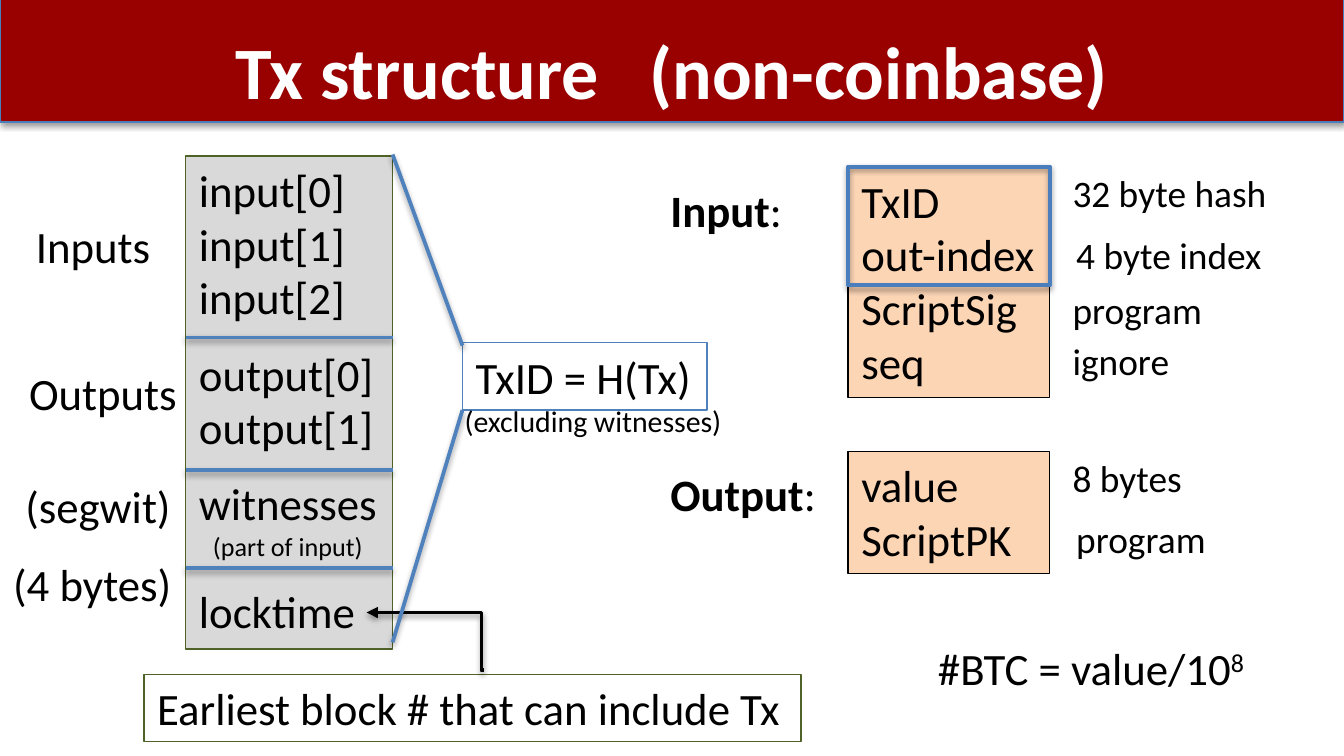
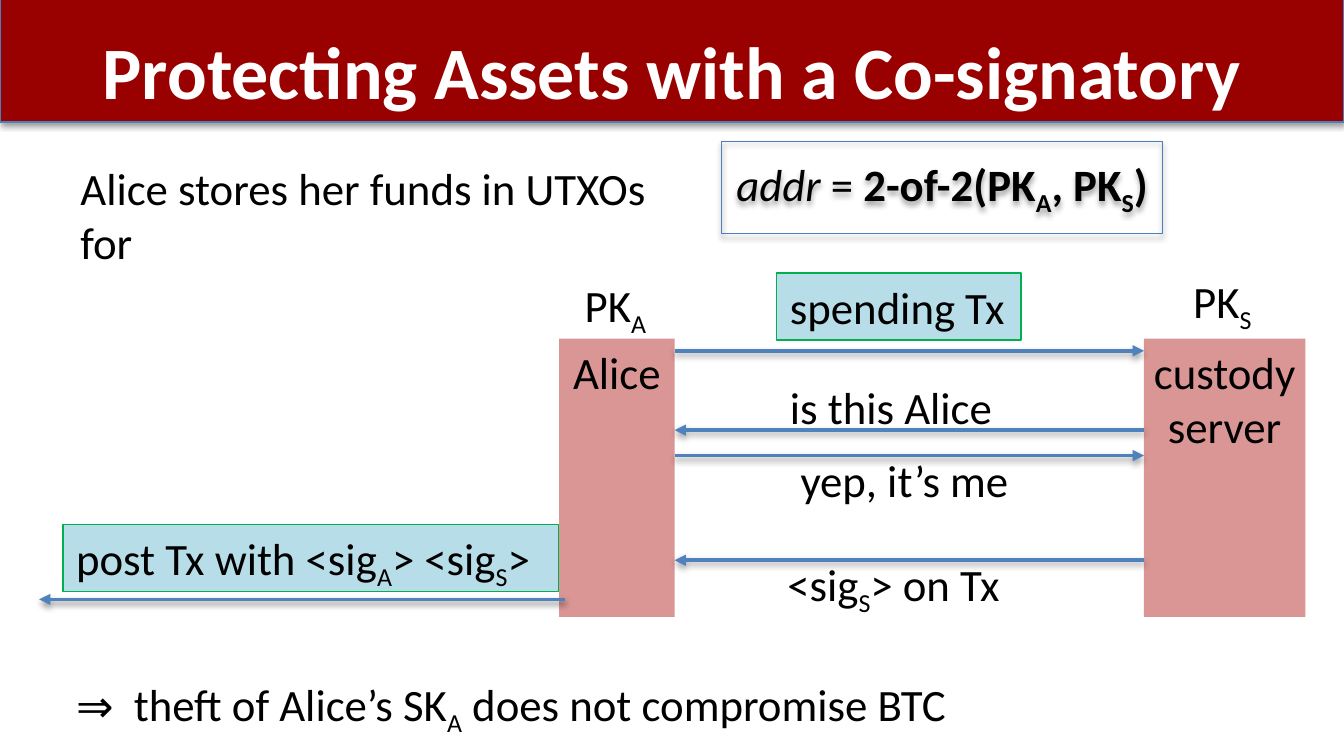
from lxml import etree
from pptx import Presentation
from pptx.dml.color import RGBColor
from pptx.enum.shapes import MSO_CONNECTOR, MSO_SHAPE
from pptx.enum.text import MSO_ANCHOR, MSO_AUTO_SIZE, PP_ALIGN
from pptx.oxml import parse_xml
from pptx.oxml.ns import nsdecls, qn
from pptx.util import Cm, Pt

RECT = MSO_SHAPE.RECTANGLE
LINE, ELBOW = MSO_CONNECTOR.STRAIGHT, MSO_CONNECTOR.ELBOW
LEFT, MID = PP_ALIGN.LEFT, PP_ALIGN.CENTER
TOP, MIDDLE = MSO_ANCHOR.TOP, MSO_ANCHOR.MIDDLE
GROW, FIXED = MSO_AUTO_SIZE.SHAPE_TO_FIT_TEXT, MSO_AUTO_SIZE.NONE

FONT = "Calibri"
BLACK, WHITE, RED = "000000", "FFFFFF", "990000"
BLUE, EDGE = "4F81BD", "4B7EBC"
GREY, OLIVE, PEACH = "D9D9D9", "4F6228", "FCD5B5"
ROSE, AQUA, GREEN = "D99694", "B7DEE8", "00B050"
SHADE = (
    f'<a:effectLst {nsdecls("a")}><a:outerShdw blurRad="40000" dist="22000" '
    'dir="5400000" rotWithShape="0"><a:srgbClr val="000000">'
    '<a:alpha val="36000"/></a:srgbClr></a:outerShdw></a:effectLst>'
)
color = RGBColor.from_string
ROW = 1.27  # height of one line of 24 pt text, in cm


def box(page, at, paras=(), size=24, ink=BLACK, fill=None, edge=None, width=0.75,
        align=LEFT, anchor=TOP, fit=GROW, shade=False):
    """Add a rectangle or text box.

    A paragraph is a string or a list of (text, marks) runs. Marks are letters:
    b bold, i italic, s subscript, u superscript. The run "\\n" breaks the line.
    """
    at = [Cm(n) for n in at]
    if fill or edge:
        shape = page.shapes.add_shape(RECT, *at)
        shape.shadow.inherit = False
    else:
        shape = page.shapes.add_textbox(*at)
    if fill:
        shape.fill.solid()
        shape.fill.fore_color.rgb = color(fill)
    else:
        shape.fill.background()
    if edge:
        shape.line.color.rgb = color(edge)
        shape.line.width = Pt(width)
    else:
        shape.line.fill.background()
    if shade:
        props = shape.element.spPr
        props.remove(props.find(qn("a:effectLst")))
        props.append(parse_xml(SHADE))
    frame = shape.text_frame
    frame.word_wrap = False
    frame.vertical_anchor = anchor
    frame.auto_size = fit if paras else FIXED
    for n, runs in enumerate(paras):
        para = frame.add_paragraph() if n else frame.paragraphs[0]
        para.alignment = align
        for text, marks in [(runs, "")] if isinstance(runs, str) else runs:
            if text == "\n":
                para.add_line_break()
                continue
            run = para.add_run()
            run.text = text
            font = run.font
            font.name, font.size, font.color.rgb = FONT, Pt(size), color(ink)
            font.bold, font.italic = "b" in marks, "i" in marks
            if "s" in marks or "u" in marks:
                base = "-25000" if "s" in marks else "30000"
                run._r.get_or_add_rPr().set("baseline", base)
    return shape


def wire(page, start, end, ink=BLUE, arrow=False, kind=LINE):
    """Add a shadowed connector, with an arrowhead at its end if asked."""
    link = page.shapes.add_connector(kind, *[Cm(n) for n in (*start, *end)])
    link.line.color.rgb = color(ink)
    link.line.width = Pt(2)
    if arrow:
        etree.SubElement(link.line._get_or_add_ln(), qn("a:tailEnd"), type="triangle")
    link.element.spPr.append(parse_xml(SHADE))
    return link


deck = Presentation()
deck.slide_width, deck.slide_height = Cm(25.4), Cm(14.29)

# Both slides: red band and title
pages, heads = [], []
for title in (
    [("Tx structure", "b"), (" ", "b"), ("(non-coinbase)", "b")],
    [("Protecting Assets with a Co-signatory", "b")],
):
    page = deck.slides.add_slide(deck.slide_layouts[6])
    box(page, (0, -0.03, 25.4, 2.34), fill=RED, edge=EDGE, shade=True)
    heads.append(box(page, (1.27, 0.36, 22.86, 1.73), [title], size=39.6, ink=WHITE,
                     align=MID, fit=FIXED))
    pages.append(page)
tx, guard = pages

# Slide 1: widen the gap in the title
gap = heads[0].text_frame.paragraphs[0].runs[1]
gap._r.get_or_add_rPr().set("spc", "1800")

# Slide 1: transaction stack
left, right = 3.51, 7.42
stack = box(tx, (left, 2.95, right - left, 9.32), [
    "input[0]", "input[1]", "input[2]", "output[0]", "output[1]",
    [("witnesses", ""), ("\n", ""), ("(part of input)", "")], "locktime",
], fill=GREY, edge=OLIVE)
parts = stack.text_frame.paragraphs
for n in (3, 5, 6):
    parts[n].space_before = Pt(12)
parts[5].alignment = MID
parts[5].runs[1].font.size = Pt(14)

for x, y, wide, text in (
    (0, 10.39, 3.53, "(4 bytes)"),
    (0.23, 8.92, 3.28, "(segwit)"),
    (0.43, 4.01, 2.69, "Inputs"),
    (0.3, 6.78, 3.33, "Outputs"),
):
    box(tx, (x, y, wide, ROW), [text])
for y in (6.38, 8.89, 10.74):
    wire(tx, (left, y), (right, y))

box(tx, (2.72, 12.75, 12.42, ROW), ["Earliest block # that can include Tx"], edge=OLIVE)
bend = wire(tx, (9.14, 12.67), (6.93, 11.58), BLACK, True, ELBOW)
etree.SubElement(bend.element.spPr.find(qn("a:prstGeom")).find(qn("a:avLst")),
                 qn("a:gd"), name="adj1", fmla="val 1800")

# Slide 1: fields of an input and an output
for name, y, top, tall, names, notes in (
    ("Input", 3.33, 3.15, 4.37, ["TxID", "out-index", "ScriptSig", "seq"], (
        (20.02, 3.1, 4.22, "32 byte hash"),
        (20.09, 4.27, 4.04, "4 byte index"),
        (20.02, 5.31, 2.97, "program"),
        (20.02, 6.27, 2.36, "ignore"),
    )),
    ("Output", 8.69, 8.53, 2.31, ["value", "ScriptPK"], (
        (20.02, 8.48, 2.59, "8 bytes"),
        (20.09, 9.63, 2.97, "program"),
    )),
):
    box(tx, (16.03, top, 3.81, tall), names, fill=PEACH, edge=BLACK)
    box(tx, (12.42, y, 3.3, ROW), [[(name, "b"), (":", "")]])
    for x, spot, wide, text in notes:
        box(tx, (x, spot, wide, 1.12), [text], size=20)
box(tx, (16.03, 3.15, 3.81, 2.24), edge=EDGE, width=2.25, shade=True)
box(tx, (17.42, 11.99, 6.4, ROW), [[("#BTC = value/10", ""), ("8", "u")]], align=MID)

# Slide 1: hash of the transaction
box(tx, (8.74, 6.48, 4.62, ROW), ["TxID = H(Tx)"], edge=BLUE)
wire(tx, (right, 2.92), (8.74, 6.53))
wire(tx, (right, 12.14), (8.74, 7.75))
box(tx, (8.53, 7.49, 5.44, 0.94), ["(excluding witnesses)"], size=16)

# Slide 2: address
box(guard, (1.27, 2.92, 12.3, ROW), ["Alice stores her funds in UTXOs for"])
box(guard, (13.64, 2.67, 8.33, 1.75), [[
    ("addr", "i"), (" = ", ""), ("2-of-2(PK", "b"), ("A", "bs"),
    (", PK", "b"), ("S", "bs"), (")", "b"),
]], edge=EDGE, align=MID, anchor=MIDDLE, fit=FIXED, shade=True)

# Slide 2: the two parties
alice, server = 12.75, 21.62
for x, wide, names, spot, y, key in (
    (10.57, 2.18, ["Alice"], 10.8, 5.13, "A"),
    (server, 3.05, ["custody", "server"], 22.3, 5.05, "S"),
):
    box(guard, (x, 6.4, wide, 5.26), names, fill=ROSE, align=MID, fit=FIXED)
    box(guard, (spot, y, 1.7, ROW), [[("PK", ""), (key, "s")]])

# Slide 2: messages
for y, start, end in (
    (6.63, alice, server),
    (8.13, server, alice),
    (8.61, alice, server),
    (10.59, server, alice),
    (11.33, 10.67, 0.74),
):
    wire(guard, (start, y), (end, y), arrow=True)
for x, y, wide, text, fill, edge in (
    (14.68, 5.16, 4.62, "spending Tx", AQUA, GREEN),
    (14.68, 7.06, 4.37, "is this Alice", None, None),
    (14.88, 8.43, 4.47, "yep, it’s me", None, None),
    (14.63, 10.39, 4.6, [("<sig", ""), ("S", "s"), ("> on Tx", "")], None, None),
    (1.19, 9.91, 9.37, [("post Tx with <sig", ""), ("A", "s"), ("> <sig", ""),
                        ("S", "s"), (">", "")], AQUA, GREEN),
):
    box(guard, (x, y, wide, ROW), [text], fill=fill, edge=edge)

# Slide 2: conclusion, with an arrow as bullet
close = box(guard, (1.19, 12.67, 17.17, ROW), [[
    ("theft of Alice’s SK", ""), ("A", "s"), (" does not compromise BTC", ""),
]])
close.text_frame.word_wrap = True
props = close.text_frame.paragraphs[0]._p.get_or_add_pPr()
props.set("marL", str(Cm(1.09)))
props.set("indent", str(-Cm(1.09)))
etree.SubElement(props, qn("a:buFont"), typeface=FONT)
etree.SubElement(props, qn("a:buChar"), char="⇒")

deck.save("out.pptx")
